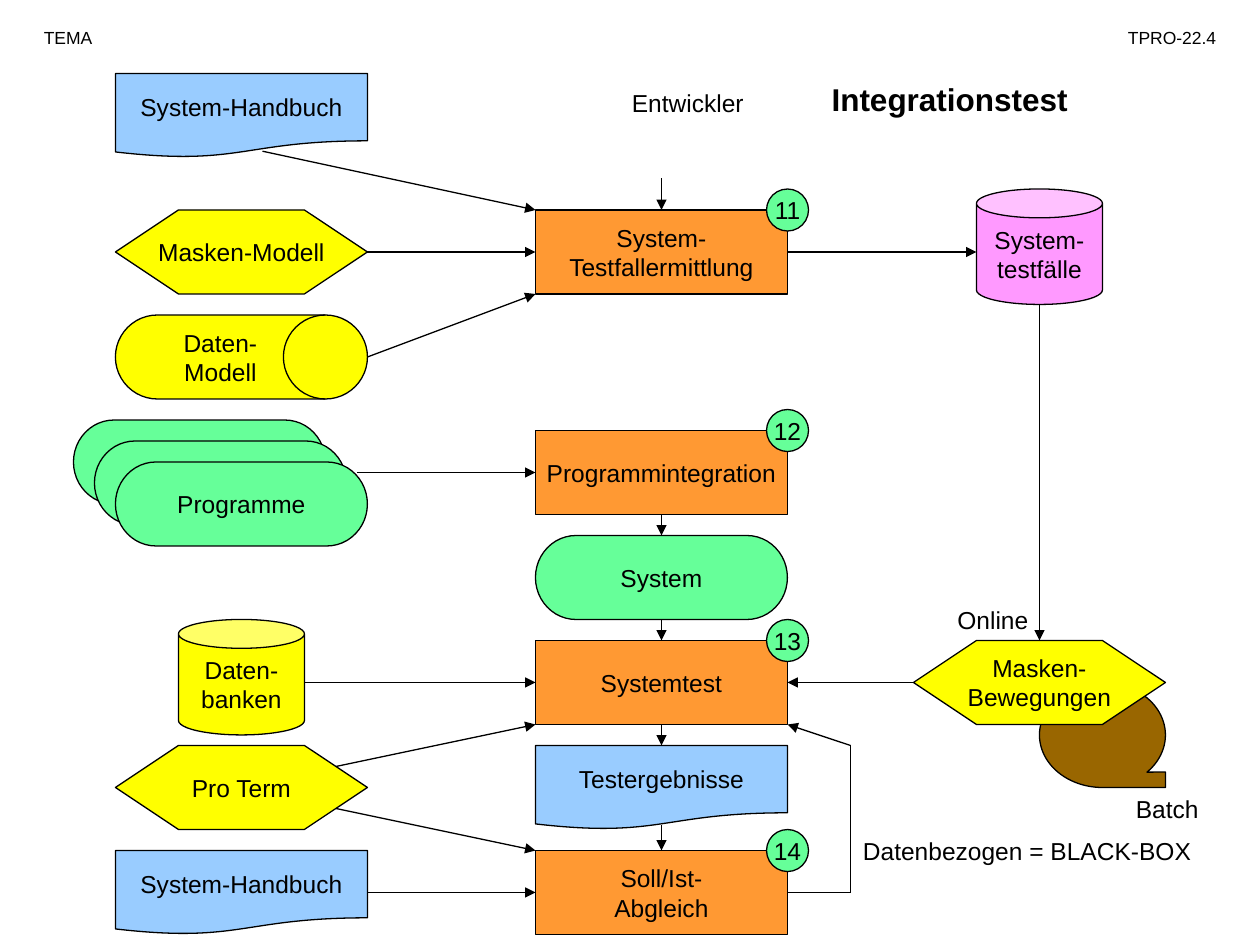
"""Build the integration test flow chart slide."""
from lxml.etree import SubElement
from pptx import Presentation
from pptx.dml.color import RGBColor
from pptx.enum.shapes import MSO_CONNECTOR, MSO_SHAPE as Shape
from pptx.enum.text import MSO_ANCHOR as Anchor, MSO_AUTO_SIZE, PP_ALIGN as Align
from pptx.oxml.ns import qn
from pptx.util import Emu, Pt

PX = 914400 // 120
BOX_WIDTH, BOX_HEIGHT = 240, 80
LEFT, MIDDLE, AXIS = 110, 510, 630
BLACK, ORANGE, BLUE, YELLOW = "000000", "FF9933", "99CCFF", "FFFF00"
GREEN, PINK, BROWN = "66FF99", "FF99FF", "996600"

BOXES = [
    (Shape.RECTANGLE, MIDDLE, 200, ORANGE, "System-\nTestfallermittlung"),
    (Shape.RECTANGLE, MIDDLE, 410, ORANGE, "Programmintegration"),
    (Shape.FLOWCHART_TERMINATOR, MIDDLE, 510, GREEN, "System"),
    (Shape.RECTANGLE, MIDDLE, 610, ORANGE, "Systemtest"),
    (Shape.FLOWCHART_DOCUMENT, MIDDLE, 710, BLUE, "Testergebnisse"),
    (Shape.RECTANGLE, MIDDLE, 810, ORANGE, "Soll/Ist-\nAbgleich"),
    (Shape.FLOWCHART_DOCUMENT, LEFT, 70, BLUE, "System-Handbuch"),
    (Shape.HEXAGON, LEFT, 200, YELLOW, "Masken-Modell"),
    (Shape.FLOWCHART_DIRECT_ACCESS_STORAGE, LEFT, 300, YELLOW, "Daten-\nModell"),
    (Shape.FLOWCHART_TERMINATOR, 70, 400, GREEN, ""),
    (Shape.FLOWCHART_TERMINATOR, 90, 420, GREEN, ""),
    (Shape.FLOWCHART_TERMINATOR, LEFT, 440, GREEN, "Programme"),
    (Shape.HEXAGON, LEFT, 710, YELLOW, "Pro Term"),
    (Shape.FLOWCHART_DOCUMENT, LEFT, 810, BLUE, "System-Handbuch"),
    (Shape.HEXAGON, 870, 610, YELLOW, "Masken-\nBewegungen"),
]
DATABASES = [
    (930, 180, PINK, "System-\ntestfälle"),
    (170, 590, YELLOW, "Daten-\nbanken"),
]
STEPS = [("11", 180), ("12", 390), ("13", 590), ("14", 790)]
ARROWS = [
    (990, 290, 990, 610),
    (870, 650, 750, 650),
    (290, 650, MIDDLE, 650),
    (350, 850, MIDDLE, 850),
    (320, 730, MIDDLE, 690),
    (320, 770, MIDDLE, 810),
    (340, 450, MIDDLE, 450),
    (350, 240, MIDDLE, 240),
    (750, 240, 930, 240),
    (250, 144, MIDDLE, 200),
    (350, 340, MIDDLE, 280),
    (810, 710, 750, 690),
]
DOWN_ARROWS = [(170, 200), (490, 510), (590, 610), (690, 710), (786, 810)]
RETURN_LINES = [(750, 850, 810, 850), (810, 710, 810, 850)]
LABELS = [
    ("TEMA", 30, 20, 110, 32, 10, Align.LEFT),
    ("TPRO-22.4", 1040, 20, 130, 32, 10, Align.RIGHT),
    ("Entwickler", 590, 78, 140, 41, 14, Align.LEFT),
    ("Datenbezogen = BLACK-BOX", 810, 790, 340, 41, 14, Align.LEFT),
    ("Online", 900, 570, 100, 41, 14, Align.LEFT),
    ("Batch", 1070, 750, 100, 41, 14, Align.LEFT),
]


def px(*lengths):
    """Turn px lengths into EMU."""
    return [Emu(length * PX) for length in lengths]


def color(value):
    """Turn a hex string into a colour."""
    return RGBColor.from_string(value)


def write(box, text, size, align, anchor, wrap, bold=False):
    """Fill a box with formatted paragraphs."""
    frame = box.text_frame
    frame.text = text
    frame.word_wrap = wrap
    frame.vertical_anchor = anchor
    for para in frame.paragraphs:
        para.alignment = align
        for span in para.runs:
            span.font.name = "Arial"
            span.font.size = Pt(size)
            span.font.bold = bold
            span.font.color.rgb = color(BLACK)


def add_title(page, text):
    """Move and format the title placeholder."""
    title = page.shapes.title
    title.left, title.top, title.width, title.height = px(780, 70, 270, 48)
    write(title, text, 18, Align.LEFT, Anchor.TOP, True, bold=True)
    title.text_frame.auto_size = MSO_AUTO_SIZE.NONE


def add_symbol(page, kind, left, top, fill, text="", width=BOX_WIDTH, height=BOX_HEIGHT):
    """Draw an outlined flow chart symbol with centred text."""
    symbol = page.shapes.add_shape(kind, *px(left, top, width, height))
    symbol.shadow.inherit = False
    symbol.fill.solid()
    symbol.fill.fore_color.rgb = color(fill)
    symbol.line.color.rgb = color(BLACK)
    symbol.line.width = Pt(0.75)
    if kind == Shape.HEXAGON:
        symbol.adjustments[0] = 0.75
    if text:
        write(symbol, text, 14, Align.CENTER, Anchor.MIDDLE, False)


def add_line(page, points, arrow=True):
    """Draw a straight line, with an arrowhead at its end if wanted."""
    line = page.shapes.add_connector(MSO_CONNECTOR.STRAIGHT, *px(*points))
    line.line.color.rgb = color(BLACK)
    line.line.width = Pt(0.75)
    if arrow:
        SubElement(line.line._get_or_add_ln(), qn("a:tailEnd"), type="triangle")
    SubElement(line._element.spPr, qn("a:effectLst"))


def add_label(page, text, left, top, width, height, size, align):
    """Place a free text label."""
    box = page.shapes.add_textbox(*px(left, top, width, height))
    write(box, text, size, align, Anchor.TOP, True)


def main():
    """Assemble and save the slide."""
    deck = Presentation()
    deck.slide_width, deck.slide_height = px(1200, 900)
    page = deck.slides.add_slide(deck.slide_layouts[5])
    add_title(page, "Integrationstest")
    add_symbol(page, Shape.FLOWCHART_SEQUENTIAL_ACCESS_STORAGE, 990, 650, BROWN,
               width=120, height=100)
    for box in BOXES:
        add_symbol(page, *box)
    for left, top, fill, text in DATABASES:
        add_symbol(page, Shape.CAN, left, top, fill, text, 120, 110)
    for points in ARROWS:
        add_line(page, points)
    for start, end in DOWN_ARROWS:
        add_line(page, (AXIS, start, AXIS, end))
    for points in RETURN_LINES:
        add_line(page, points, arrow=False)
    for label in LABELS:
        add_label(page, *label)
    for number, top in STEPS:
        add_symbol(page, Shape.OVAL, 730, top, GREEN, number, 40, 40)
    deck.save("out.pptx")


if __name__ == "__main__":
    main()
